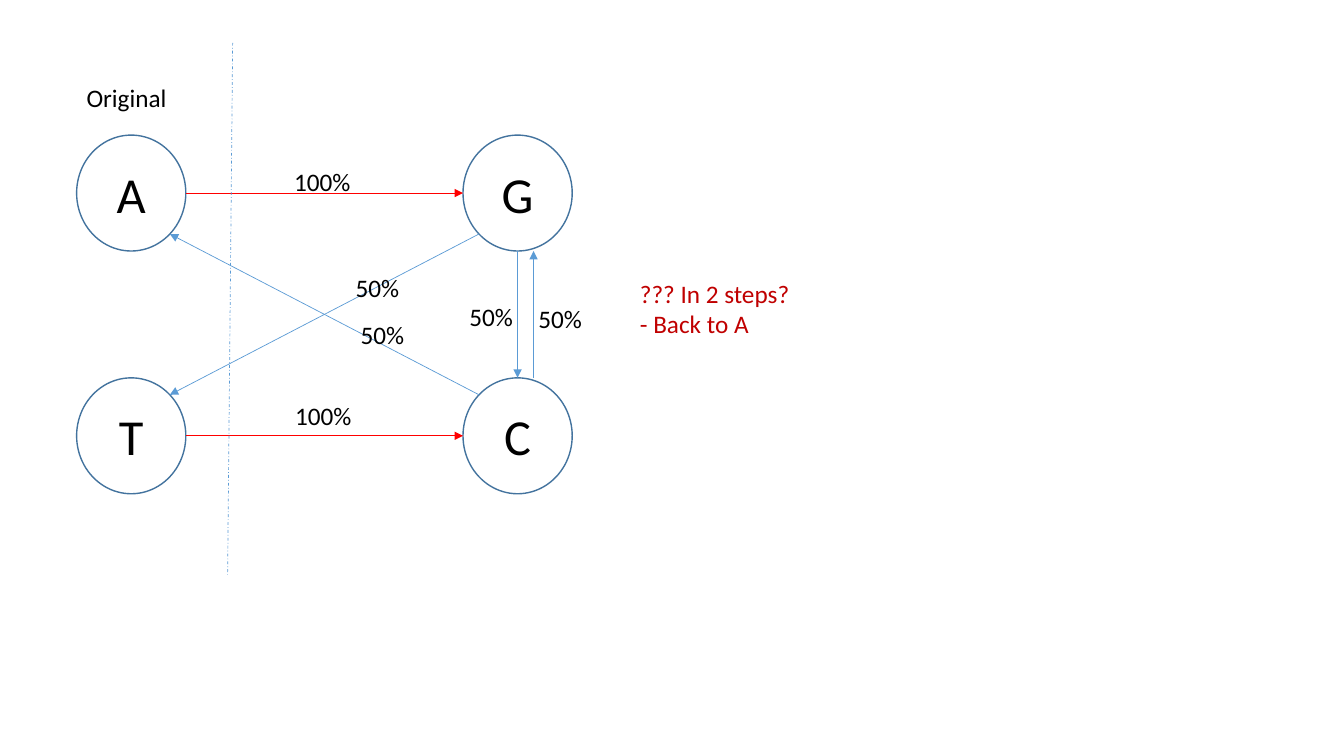
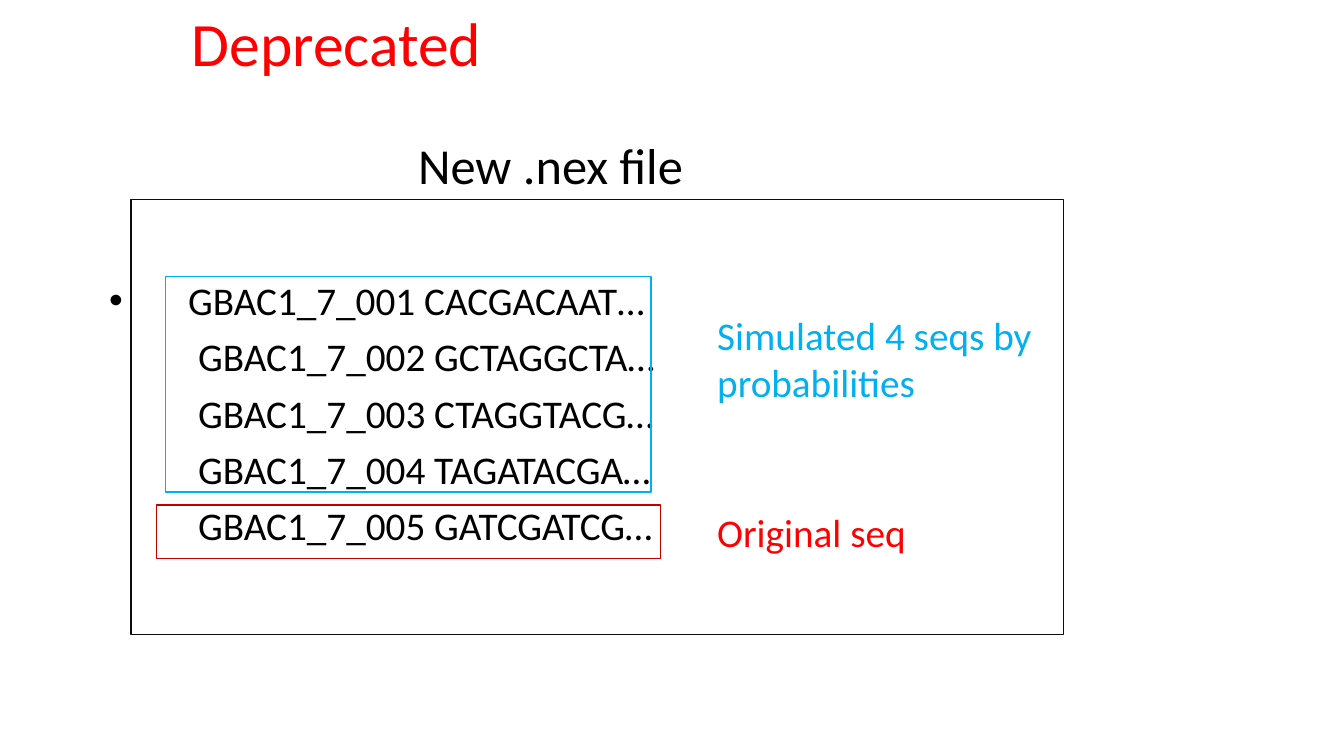
"""Build two slides: base transition probabilities and the layout of the new .nex file."""
from dataclasses import dataclass
from itertools import product
from math import hypot

from lxml.etree import SubElement
from pptx import Presentation
from pptx.dml.color import RGBColor
from pptx.enum.dml import MSO_LINE
from pptx.enum.shapes import MSO_CONNECTOR, MSO_SHAPE
from pptx.enum.text import MSO_ANCHOR, MSO_AUTO_SIZE, PP_ALIGN
from pptx.oxml.ns import qn
from pptx.shapes.autoshape import Shape
from pptx.slide import Slide
from pptx.text.text import TextFrame
from pptx.util import Emu, Inches, Pt

SLIDE_WIDTH, SLIDE_HEIGHT = Inches(13.33), Inches(7.5)
COLUMNS, ROWS = 160, 90

BLACK = RGBColor(0x00, 0x00, 0x00)
NEAR_BLACK = RGBColor(0x0D, 0x0D, 0x0D)
RED = RGBColor(0xFF, 0x00, 0x00)
DARK_RED = RGBColor(0xC0, 0x00, 0x00)
SKY = RGBColor(0x00, 0xB0, 0xF0)
BLUE = RGBColor(0x5B, 0x9B, 0xD5)
NAVY = RGBColor(0x43, 0x73, 0x9E)
FONT = "Calibri"


def across(columns: float) -> Emu:
    """Turn grid columns into a length."""
    return Emu(round(SLIDE_WIDTH * columns / COLUMNS))


def down(rows: float) -> Emu:
    """Turn grid rows into a length."""
    return Emu(round(SLIDE_HEIGHT * rows / ROWS))


@dataclass(frozen=True)
class Point:
    """A place on the grid."""
    column: float
    row: float


@dataclass(frozen=True)
class Area:
    """A rectangle on the grid."""
    column: float
    row: float
    columns: float
    rows: float

    def lengths(self) -> tuple[Emu, Emu, Emu, Emu]:
        """Give left, top, width and height."""
        return across(self.column), down(self.row), across(self.columns), down(self.rows)

    def rim(self, right: float, below: float, shift: float = 0) -> Point:
        """Find the point of the inscribed ellipse in a direction, shifted sideways."""
        reach = 2 * hypot(right, below)
        return Point(self.column + self.columns * (0.5 + right / reach) + shift,
                     self.row + self.rows * (0.5 + below / reach))


@dataclass(frozen=True)
class Label:
    """A free text with its area and format."""
    lines: tuple[str, ...]
    area: Area
    size: float = 18
    color: RGBColor = BLACK


@dataclass(frozen=True)
class Transition:
    """An arrow between two points."""
    start: Point
    end: Point
    color: RGBColor = BLUE


@dataclass(frozen=True)
class Frame:
    """An outlined rectangle."""
    area: Area
    color: RGBColor


def write(text_frame: TextFrame, *lines: str, size: float = 18, color: RGBColor = BLACK,
          align: PP_ALIGN = PP_ALIGN.LEFT, anchor: MSO_ANCHOR = MSO_ANCHOR.TOP,
          fit: MSO_AUTO_SIZE = MSO_AUTO_SIZE.NONE, spacing: float = 1, before: float = 0) -> None:
    """Fill a text frame with one paragraph per line."""
    text_frame.word_wrap = True
    text_frame.auto_size = fit
    text_frame.vertical_anchor = anchor
    for number, line in enumerate(lines):
        paragraph = text_frame.add_paragraph() if number else text_frame.paragraphs[0]
        paragraph.alignment = align
        paragraph.line_spacing = spacing
        paragraph.space_before = Pt(before)
        run = paragraph.add_run()
        run.text = line
        run.font.name = FONT
        run.font.size = Pt(size)
        run.font.color.rgb = color


def add_label(slide: Slide, label: Label) -> None:
    """Add a text box."""
    box = slide.shapes.add_textbox(*label.area.lengths())
    write(box.text_frame, *label.lines, size=label.size, color=label.color,
          fit=MSO_AUTO_SIZE.SHAPE_TO_FIT_TEXT)


def add_outline(slide: Slide, preset: MSO_SHAPE, area: Area, color: RGBColor) -> Shape:
    """Add an unfilled shape."""
    outline = slide.shapes.add_shape(preset, *area.lengths())
    outline.shadow.inherit = False
    outline.fill.background()
    outline.line.color.rgb = color
    outline.line.width = Pt(1)
    return outline


def add_line(slide: Slide, start: Point, end: Point, color: RGBColor,
             arrow: bool = True, dash: MSO_LINE = MSO_LINE.SOLID) -> None:
    """Add a thin straight line, with an arrowhead at its end if wanted."""
    line = slide.shapes.add_connector(
        MSO_CONNECTOR.STRAIGHT, across(start.column), down(start.row),
        across(end.column), down(end.row))
    line.line.color.rgb = color
    line.line.width = Pt(0.5)
    line.line.dash_style = dash
    properties = line._element.spPr
    if arrow:
        SubElement(properties.find(qn("a:ln")), qn("a:tailEnd"), type="triangle")
    SubElement(properties, qn("a:effectLst"))


def place(placeholder: Shape, area: Area) -> None:
    """Move a placeholder to an area."""
    placeholder.left, placeholder.top, placeholder.width, placeholder.height = area.lengths()


def indent_sequences(text_frame: TextFrame, first: float, others: float) -> None:
    """Hang the first sequence on a bullet and indent the others without one."""
    for number, paragraph in enumerate(text_frame.paragraphs):
        properties = paragraph._p.get_or_add_pPr()
        margin = across(others if number else first)
        properties.set("marL", str(margin))
        properties.set("indent", str(0 if number else -margin))
        if number:
            SubElement(properties, qn("a:buNone"))
        else:
            SubElement(properties, qn("a:buFont"), typeface="Arial")
            SubElement(properties, qn("a:buChar"), char="•")


def build_transitions(slide: Slide) -> None:
    """Draw the four bases and the probabilities between them."""
    bases = {
        base: Area(9.12 + 46 * column, 16.08 + 28.9 * row, 13, 13.8)
        for base, (row, column) in zip("AGTC", product(range(2), repeat=2))
    }
    for base, area in bases.items():
        circle = add_outline(slide, MSO_SHAPE.OVAL, area, NAVY)
        write(circle.text_frame, base, size=36, align=PP_ALIGN.CENTER, anchor=MSO_ANCHOR.MIDDLE)

    a, g, t, c = bases.values()
    transitions = (
        Transition(a.rim(1, 0), g.rim(-1, 0), RED),
        Transition(t.rim(1, 0), c.rim(-1, 0), RED),
        Transition(g.rim(-1, 1), t.rim(1, -1)),
        Transition(c.rim(-1, -1), a.rim(1, 1)),
        Transition(g.rim(0, 1), c.rim(0, -1)),
        Transition(c.rim(0, -1, 1.9), g.rim(0, 1, 1.9)),
    )
    for transition in transitions:
        add_line(slide, transition.start, transition.end, transition.color)
    add_line(slide, Point(27.7, 5.1), Point(27.1, 68.4), BLUE, arrow=False, dash=MSO_LINE.DASH_DOT)

    certain, even = ("100%",), ("50%",)
    labels = (
        Label(certain, Area(33.85, 19.2, 9.8, 4.8)),
        Label(certain, Area(33.95, 47.05, 9.8, 4.8)),
        Label(even, Area(62.9, 35.5, 10, 4.8)),
        Label(even, Area(54.7, 35.3, 10, 4.8)),
        Label(even, Area(41.75, 37.45, 10, 4.8)),
        Label(even, Area(41.15, 31.8, 10, 4.8)),
        Label(("??? In 2 steps?", "- Back to A"), Area(75, 32.5, 61.3, 8.5), color=DARK_RED),
        Label(("Original",), Area(9.12, 9.25, 16.8, 4.8)),
    )
    for label in labels:
        add_label(slide, label)


def build_nex_file(slide: Slide) -> None:
    """Show the simulated and original sequences of the file."""
    heading, sequences = slide.placeholders
    place(heading, Area(21.6, 0, 70.2, 10.1))
    write(heading.text_frame, "Deprecated", size=44, color=RED)
    place(sequences, Area(11.8, 32.9, 138, 57.1))
    write(sequences.text_frame,
          "GBAC1_7_001 CACGACAAT…",
          "GBAC1_7_002 GCTAGGCTA…",
          "GBAC1_7_003 CTAGGTACG…",
          "GBAC1_7_004 TAGATACGA…",
          "GBAC1_7_005 GATCGATCG…",
          size=28, spacing=0.9, before=10)
    indent_sequences(sequences.text_frame, 9.4, 10.6)

    frames = (
        Frame(Area(18.6, 60.1, 60, 6.4), DARK_RED),
        Frame(Area(19.7, 32.9, 57.8, 25.7), SKY),
        Frame(Area(15.6, 23.75, 111, 51.8), NEAR_BLACK),
    )
    for frame in frames:
        add_outline(slide, MSO_SHAPE.RECTANGLE, frame.area, frame.color)

    labels = (
        Label(("Original seq",), Area(84.2, 59.9, 46.2, 6.8), 28, RED),
        Label(("Simulated 4 seqs by probabilities",), Area(84.2, 36.5, 46.2, 12.5), 28, SKY),
        Label(("New .nex file",), Area(48.6, 15.35, 37.2, 8.5), 36),
    )
    for label in labels:
        add_label(slide, label)


def main() -> None:
    """Build and save the presentation."""
    deck = Presentation()
    deck.slide_width, deck.slide_height = SLIDE_WIDTH, SLIDE_HEIGHT
    content_layout, blank_layout = deck.slide_layouts[1], deck.slide_layouts[6]
    build_transitions(deck.slides.add_slide(blank_layout))
    build_nex_file(deck.slides.add_slide(content_layout))
    deck.save("out.pptx")


main()
